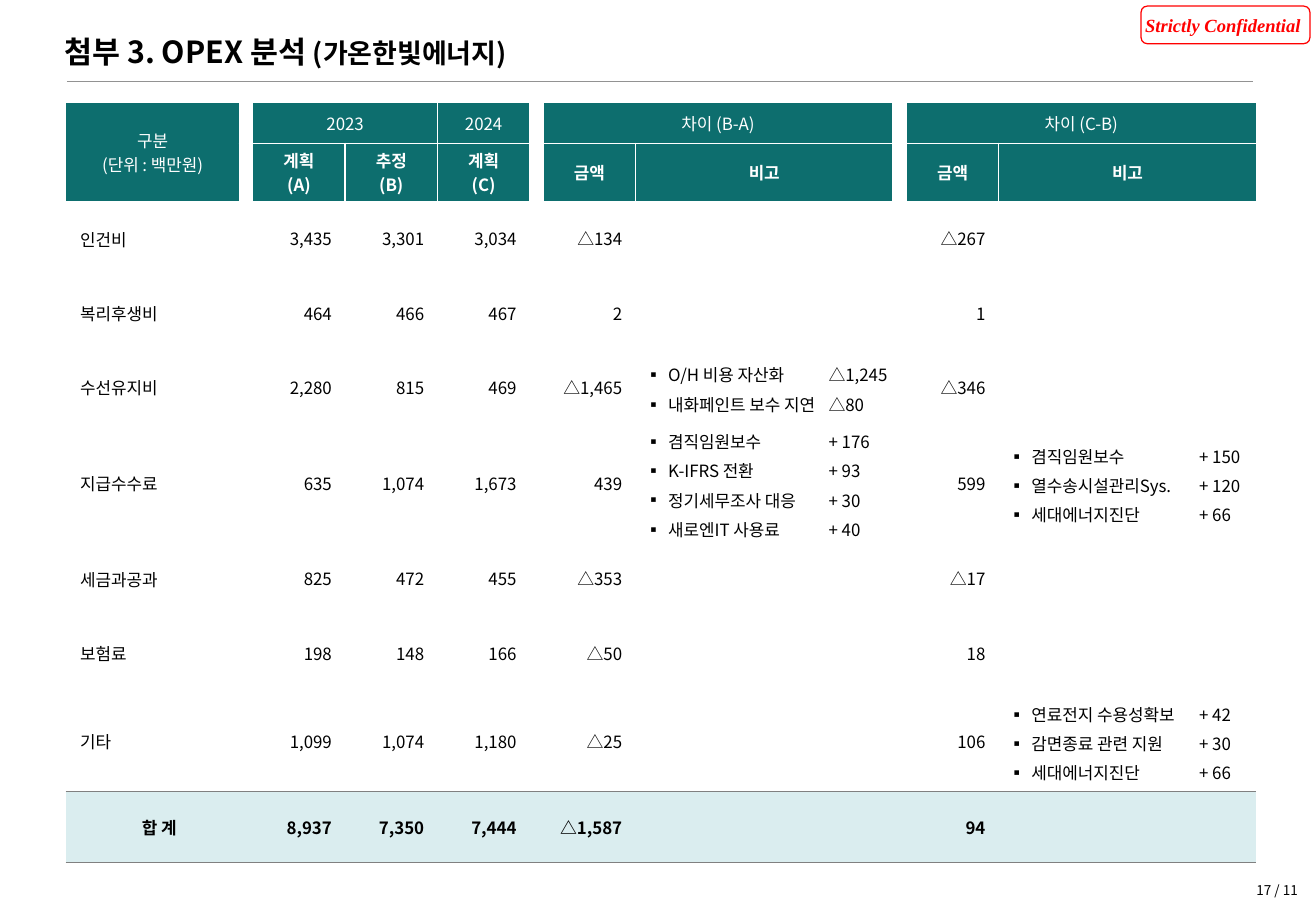
import dataclasses
import typing

import lxml.etree
import pptx
import pptx.dml.color
import pptx.enum.shapes
import pptx.enum.text
import pptx.oxml.ns
import pptx.util

Inches = pptx.util.Inches
Pt = pptx.util.Pt
Align = pptx.enum.text.PP_ALIGN
Anchor = pptx.enum.text.MSO_ANCHOR
qn = pptx.oxml.ns.qn

COLORS = {"teal": "0D6E6E", "pale": "DAEDEF", "white": "FFFFFF", "black": "000000",
          "red": "FF0000", "rule": "929292", "total_rule": "808080"}
BODY_FONT = "Noto Sans CJK KR"
STAMP_FONT = "Times New Roman"
PLAIN_TABLE_STYLE = "{2D5ABB26-0587-4C30-8999-92F81FD0307C}"

LABEL, GAP, AMOUNT, REMARK = 1.43, 0.11, 0.76, 2.12
COLUMN_WIDTHS = [LABEL, GAP, AMOUNT, AMOUNT, AMOUNT, GAP, AMOUNT, REMARK, GAP, AMOUNT, REMARK]
ROW_HEIGHTS = [0.33, 0.48, 0.61, 0.61, 0.61, 0.97, 0.61, 0.61, 0.84, 0.58]
GAP_COLUMNS = (1, 5, 8)
AMOUNT_COLUMNS = (2, 3, 4, 6, 9)
VARIANCE_TAB, PLAN_TAB = 1.51, 1.57
HEADER_MERGES = [((0, 0), (1, 0)), ((0, 2), (0, 3)), ((0, 5), (1, 5)),
                 ((0, 6), (0, 7)), ((0, 8), (1, 8)), ((0, 9), (0, 10))]
HEADER = [
    {0: "구분\n(단위 : 백만원)", 2: "2023", 4: "2024", 6: "차이 (B-A)", 9: "차이 (C-B)"},
    {2: "계획\n(A)", 3: "추정\n(B)", 4: "계획\n(C)", 6: "금액", 7: "비고", 9: "금액", 10: "비고"},
]


@dataclasses.dataclass
class Expense:
    label: str
    amounts: typing.List[str]
    variance_notes: str = ""
    plan_notes: str = ""


EXPENSES = [
    Expense("인건비", ["3,435", "3,301", "3,034", "△134", "△267"]),
    Expense("복리후생비", ["464", "466", "467", "2", "1"]),
    Expense("수선유지비", ["2,280", "815", "469", "△1,465", "△346"],
            "O/H 비용 자산화\t△1,245\n내화페인트 보수 지연\t△80"),
    Expense("지급수수료", ["635", "1,074", "1,673", "439", "599"],
            "겸직임원보수\t+ 176\nK-IFRS 전환\t+ 93\n정기세무조사 대응\t+ 30\n새로엔IT 사용료\t+ 40",
            "겸직임원보수\t+ 150\n열수송시설관리Sys.\t+ 120\n세대에너지진단\t+ 66"),
    Expense("세금과공과", ["825", "472", "455", "△353", "△17"]),
    Expense("보험료", ["198", "148", "166", "△50", "18"]),
    Expense("기타", ["1,099", "1,074", "1,180", "△25", "106"],
            plan_notes="연료전지 수용성확보\t+ 42\n감면종료 관련 지원\t+ 30\n세대에너지진단\t+ 66"),
    Expense("합 계", ["8,937", "7,350", "7,444", "△1,587", "94"]),
]
LAST_ROW = len(ROW_HEIGHTS) - 1


def rgb(color: str) -> pptx.dml.color.RGBColor:
    return pptx.dml.color.RGBColor.from_string(COLORS[color])


def style_run(run, size: float, color: str = "black", bold: bool = False,
              italic: bool = False, face: str = BODY_FONT) -> None:
    font = run.font
    font.size, font.bold, font.italic, font.name = Pt(size), bold, italic, face
    font.color.rgb = rgb(color)
    lxml.etree.SubElement(font._element, qn("a:ea"), typeface=face)


def set_margins(box, left: float, top: float, right: float, bottom: float) -> None:
    box.margin_left, box.margin_top = Inches(left), Inches(top)
    box.margin_right, box.margin_bottom = Inches(right), Inches(bottom)


def set_border(cell, side: str, color: str, width: float) -> None:
    line = lxml.etree.SubElement(cell._tc.get_or_add_tcPr(), qn("a:ln" + side), w=str(Pt(width)))
    fill = lxml.etree.SubElement(line, qn("a:solidFill"))
    lxml.etree.SubElement(fill, qn("a:srgbClr"), val=COLORS[color])


def set_bullet(paragraph, tab: float) -> None:
    paragraph.line_spacing = 1.2
    properties = paragraph._p.get_or_add_pPr()
    properties.set("marL", str(Inches(0.19)))
    properties.set("indent", str(Inches(-0.19)))
    lxml.etree.SubElement(properties, qn("a:buFont"), typeface=BODY_FONT)
    lxml.etree.SubElement(properties, qn("a:buChar"), char="▪")
    tabs = lxml.etree.SubElement(properties, qn("a:tabLst"))
    lxml.etree.SubElement(tabs, qn("a:tab"), pos=str(Inches(tab)), algn="l")


def fill_cell(cell, text: str, align, color: str = "black", bold: bool = False,
              tab: typing.Optional[float] = None) -> None:
    cell.vertical_anchor = Anchor.MIDDLE
    cell.text_frame.text = text
    for paragraph in cell.text_frame.paragraphs:
        paragraph.alignment = align
        if text and tab:
            set_bullet(paragraph, tab)
        for run in paragraph.runs:
            style_run(run, 10, color, bold)
        if not text:
            paragraph._p.get_or_add_endParaRPr().set("sz", "1000")


def draw_header_cell(cell, row: int, column: int) -> None:
    side_margin = 0 if column in GAP_COLUMNS else 0.1
    set_margins(cell, side_margin, 0.04, side_margin, 0.04)
    fill_cell(cell, HEADER[row].get(column, ""), Align.CENTER, "white", row == 1)
    for side in ("L", "R", "B" if row == 0 else "T"):
        set_border(cell, side, "white", 1)
    if column in GAP_COLUMNS:
        cell.fill.background()
    else:
        cell.fill.solid()
        cell.fill.fore_color.rgb = rgb("teal")


def draw_expense_cell(cell, row: int, column: int) -> None:
    expense = EXPENSES[row - len(HEADER)]
    is_total = row == LAST_ROW
    if column == 0:
        set_margins(cell, 0.12, 0.01, 0.01, 0)
        fill_cell(cell, expense.label, Align.CENTER if is_total else Align.LEFT, bold=is_total)
    elif column in AMOUNT_COLUMNS:
        set_margins(cell, 0, 0, 0.11, 0)
        amount = expense.amounts[AMOUNT_COLUMNS.index(column)]
        fill_cell(cell, amount, Align.RIGHT, bold=is_total)
    else:
        set_margins(cell, 0 if column in GAP_COLUMNS else 0.08, 0, 0, 0)
        notes = {7: expense.variance_notes, 10: expense.plan_notes}.get(column, "")
        fill_cell(cell, notes, Align.LEFT, tab=VARIANCE_TAB if column == 7 else PLAN_TAB)
    for side in {LAST_ROW - 1: "B", LAST_ROW: "TB"}.get(row, ""):
        set_border(cell, side, "total_rule", 0.5)
    if is_total:
        cell.fill.solid()
        cell.fill.fore_color.rgb = rgb("pale")
    else:
        cell.fill.background()


def draw_opex_table(slide) -> None:
    frame = slide.shapes.add_table(len(ROW_HEIGHTS), len(COLUMN_WIDTHS), Inches(0.54), Inches(0.85),
                                   Inches(sum(COLUMN_WIDTHS)), Inches(sum(ROW_HEIGHTS)))
    table = frame.table
    table.first_row = table.horz_banding = False
    table._tbl.tblPr.find(qn("a:tableStyleId")).text = PLAIN_TABLE_STYLE
    for column, width in zip(table.columns, COLUMN_WIDTHS):
        column.width = Inches(width)
    for row, height in zip(table.rows, ROW_HEIGHTS):
        row.height = Inches(height)
    for row in range(len(ROW_HEIGHTS)):
        draw = draw_header_cell if row < len(HEADER) else draw_expense_cell
        for column in range(len(COLUMN_WIDTHS)):
            draw(table.cell(row, column), row, column)
    for first, last in HEADER_MERGES:
        table.cell(*first).merge(table.cell(*last))


def draw_title(slide) -> None:
    title = slide.shapes.title
    title.left, title.top, title.width, title.height = map(Inches, (0.53, 0.27, 6.94, 0.36))
    frame = title.text_frame
    frame.word_wrap = True
    frame.auto_size = pptx.enum.text.MSO_AUTO_SIZE.SHAPE_TO_FIT_TEXT
    frame.vertical_anchor = Anchor.TOP
    set_margins(frame, 0, 0.05, 0.1, 0.05)
    paragraph = frame.paragraphs[0]
    paragraph.text = "첨부 3. OPEX 분석 "
    paragraph.add_run().text = "(가온한빛에너지)"
    paragraph.alignment = Align.LEFT
    paragraph.line_spacing = 0.86
    for run, size in zip(paragraph.runs, (18, 16)):
        style_run(run, size, bold=True)


def draw_frame(slide) -> None:
    stamp = slide.shapes.add_shape(pptx.enum.shapes.MSO_SHAPE.ROUNDED_RECTANGLE,
                                   Inches(9.39), Inches(0.05), Inches(1.39), Inches(0.31))
    stamp.shadow.inherit = False
    stamp.fill.background()
    stamp.line.color.rgb = rgb("red")
    stamp.line.width = Pt(0.75)
    stamp.text_frame.word_wrap = False
    stamp.text_frame.vertical_anchor = Anchor.MIDDLE
    set_margins(stamp.text_frame, 0.08, 0.04, 0.12, 0.04)
    stamp.text_frame.text = "Strictly Confidential"
    stamp.text_frame.paragraphs[0].alignment = Align.CENTER
    style_run(stamp.text_frame.paragraphs[0].runs[0], 11, "red", True, True, STAMP_FONT)

    title_rule = slide.shapes.add_connector(pptx.enum.shapes.MSO_CONNECTOR.STRAIGHT,
                                            Inches(0.55), Inches(0.67), Inches(10.31), Inches(0.67))
    title_rule.line.color.rgb = rgb("rule")
    title_rule.line.width = Pt(0.5)
    lxml.etree.SubElement(title_rule._element.spPr, qn("a:effectLst"))

    page = slide.shapes.add_textbox(Inches(9.92), Inches(7.19), Inches(0.86), Inches(0.27))
    page.text_frame.word_wrap = True
    page.text_frame.vertical_anchor = Anchor.MIDDLE
    page.text_frame.text = "17 / 11"
    page.text_frame.paragraphs[0].alignment = Align.RIGHT
    style_run(page.text_frame.paragraphs[0].runs[0], 8)


def main() -> None:
    deck = pptx.Presentation()
    deck.slide_width, deck.slide_height = Inches(10.83), Inches(7.5)
    slide = deck.slides.add_slide(deck.slide_layouts[5])
    draw_frame(slide)
    draw_title(slide)
    draw_opex_table(slide)
    deck.save("out.pptx")


if __name__ == "__main__":
    main()
